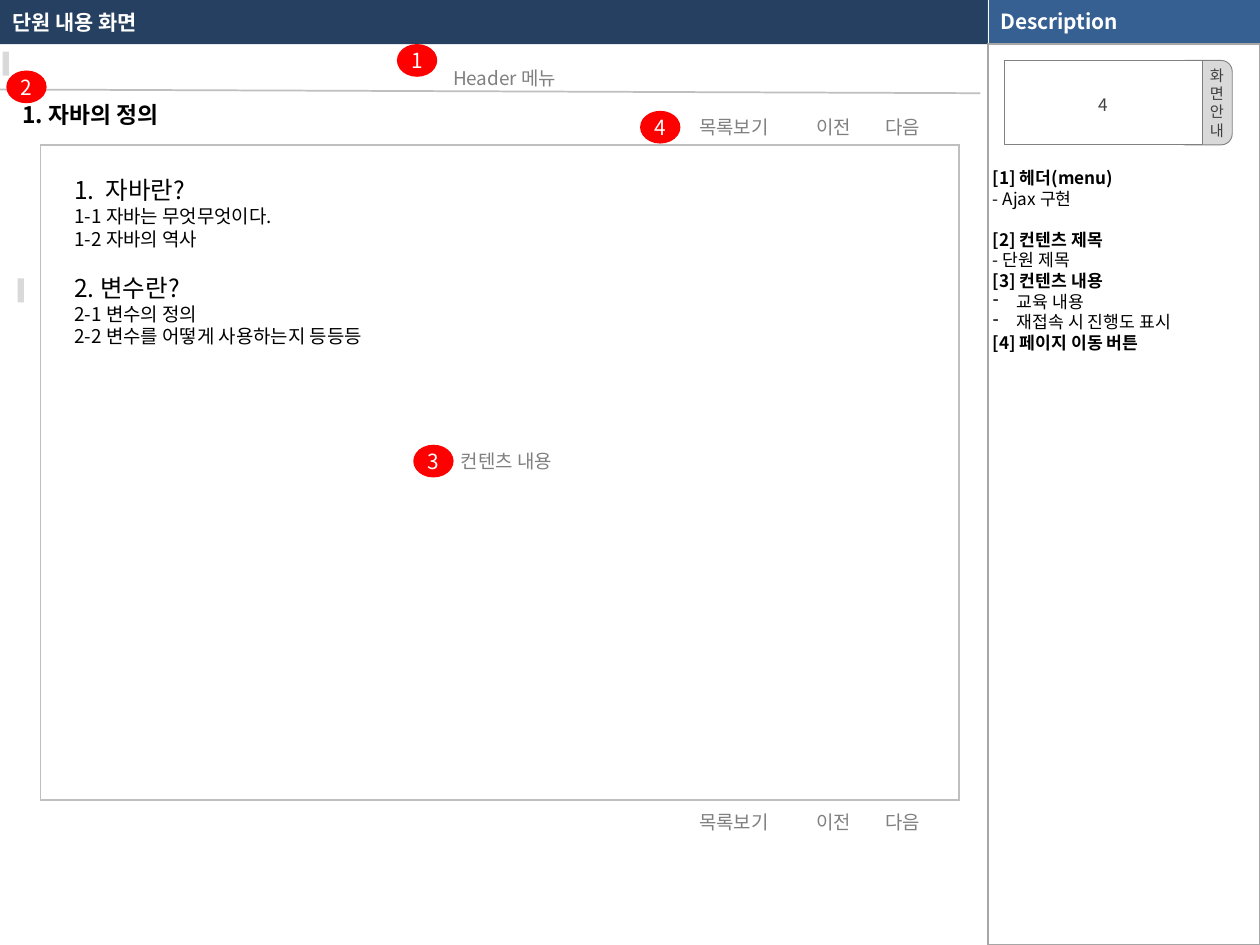
from lxml import etree
from pptx import Presentation
from pptx.dml.color import RGBColor
from pptx.enum.shapes import MSO_CONNECTOR, MSO_SHAPE
from pptx.enum.text import MSO_ANCHOR, PP_ALIGN
from pptx.oxml.ns import qn
from pptx.util import Inches, Pt

RECT, ROUND, OVAL = MSO_SHAPE.RECTANGLE, MSO_SHAPE.ROUNDED_RECTANGLE, MSO_SHAPE.OVAL
STRAIGHT = MSO_CONNECTOR.STRAIGHT
TOP, MID = MSO_ANCHOR.TOP, MSO_ANCHOR.MIDDLE
LEFT, CENTER, RIGHT = PP_ALIGN.LEFT, PP_ALIGN.CENTER, PP_ALIGN.RIGHT

THEME = {
    "font": "Noto Sans CJK KR",
    "navy": "254061", "blue": "376092", "red": "FF0000",
    "white": "FFFFFF", "black": "000000", "dark": "404040",
    "gray": "808080", "rule": "7F7F7F", "frame": "A6A6A6",
    "pale": "BFBFBF", "light": "D9D9D9",
    "bar": 11.9, "title": 13, "head": 14, "body": 10.8, "note": 9.8, "tab": 8.7,
}


def color(key):
    return RGBColor.from_string(THEME[key])


def write(shape, lines, size, tint="black", bold=False, align=LEFT, anchor=TOP,
          inset=(0, 0, 0, 0), wrap=True, space=None):
    """Fill a shape with lines: a text, or a text and a dict of changes."""
    frame = shape.text_frame
    sides = ("margin_left", "margin_top", "margin_right", "margin_bottom")
    form = dict(zip(sides, map(Inches, inset)), word_wrap=wrap, vertical_anchor=anchor)
    for name, value in form.items():
        setattr(frame, name, value)
    for i, line in enumerate(lines):
        text, extra = (line, {}) if isinstance(line, str) else line
        para = frame.paragraphs[0] if i == 0 else frame.add_paragraph()
        if "mark" in extra:
            tag, key, value, hang = extra["mark"]
            props = para._p.get_or_add_pPr()
            props.set("marL", str(Inches(hang)))
            props.set("indent", str(-Inches(hang)))
            etree.SubElement(props, qn(tag)).set(key, value)
        form = {"alignment": align, "line_spacing": space,
                "space_before": Pt(extra.get("before", 0))}
        for name, value in form.items():
            setattr(para, name, value)
        run = para.add_run()
        run.text = text
        form = {"name": THEME["font"], "size": Pt(THEME[extra.get("size", size)]),
                "bold": extra.get("bold", bold)}
        for name, value in form.items():
            setattr(run.font, name, value)
        run.font.color.rgb = color(tint)
        east = etree.SubElement(run._r.get_or_add_rPr(), qn("a:ea"))
        east.set("typeface", THEME["font"])


deck = Presentation()
deck.slide_width, deck.slide_height = Inches(10), Inches(7.5)
slide = deck.slides.add_slide(deck.slide_layouts[6])
shapes = slide.shapes


def draw(kind, box, fill=None, line=None, width=1):
    shape = shapes.add_shape(kind, *map(Inches, box))
    shape.shadow.inherit = False
    if fill:
        shape.fill.solid()
        shape.fill.fore_color.rgb = color(fill)
    else:
        shape.fill.background()
    if line:
        shape.line.color.rgb = color(line)
        shape.line.width = Pt(width)
    else:
        shape.line.fill.background()
    return shape


# Title bars
SPLIT, SIDE, BAR = 7.84, 2.16, 0.35
draw(RECT, (0, 0, SPLIT, BAR), "navy")
draw(RECT, (SPLIT, 0, SIDE, BAR), "gray")
heads = [
    (draw(RECT, (SPLIT, 0, SIDE, 0.34), "blue"), "Description"),
    (shapes.add_textbox(0, 0, Inches(7.62), Inches(BAR)), "단원 내용 화면"),
]
for shape, text in heads:
    write(shape, [text], "bar", "white", True, anchor=MID, inset=(0.1, 0.05, 0.1, 0.05))

# Rules: bar split, side edge, header underline
for x1, y1, x2, y2, tint, width in (
    (SPLIT, 0, SPLIT, BAR, "white", 0.25),
    (SPLIT, 0.34, SPLIT, 7.5, "rule", 0.25),
    (-0.04, 0.71, 7.78, 0.74, "pale", 1),
):
    rule = shapes.add_connector(STRAIGHT, *map(Inches, (x1, y1, x2, y2)))
    rule.line.color.rgb = color(tint)
    rule.line.width = Pt(width)
    etree.SubElement(rule._element.spPr, qn("a:effectLst"))

# Left ticks
for x, y in ((0.02, 0.41), (0.14, 2.21)):
    draw(RECT, (x, y, 0.05, 0.19), "light")

# Header menu and unit title
pad = (0.1, 0.05, 0.1, 0.05)
title = shapes.add_textbox(*map(Inches, (0.08, 0.75, 2.76, 0.32)))
write(title, ["1. 자바의 정의"], "title", bold=True, inset=pad)
menu = shapes.add_textbox(*map(Inches, (0.04, 0.39, 7.93, 0.34)))
write(menu, ["Header 메뉴"], "body", "gray", align=CENTER, inset=pad, space=1.5)

# Description panel
bold = {"bold": True}
dash = {"mark": ("a:buChar", "char", "-", 0.19)}
panel = draw(RECT, (SPLIT, BAR, SIDE, 7.15), line="frame")
write(panel, [
    ("[1] 헤더(menu)", bold),
    "- Ajax 구현",
    ("[2] 컨텐츠 제목", {"bold": True, "before": 11.7}),
    "- 단원 제목",
    ("[3] 컨텐츠 내용", bold),
    ("교육 내용", dash),
    ("재접속 시 진행도 표시", dash),
    ("[4] 페이지 이동 버튼", bold),
], "note", inset=(0.04, 0.98, 0.04, 0))

# Screen number card
tab = draw(ROUND, (9.32, 0.48, 0.46, 0.67), "light", "gray", 0.5)
tab.adjustments[0] = 0.19
write(tab, list("화면안내"), "tab", "dark", align=RIGHT, anchor=MID,
      inset=(0, 0, 0.04, 0), wrap=False)
card = draw(RECT, (7.97, 0.48, 1.57, 0.67), "white", "gray", 0.5)
write(card, ["4"], "note", "dark", align=CENTER, anchor=MID,
      inset=(0.04,) * 4, wrap=False, space=1.2)

# Content frame
grid = shapes.add_table(1, 1, *map(Inches, (0.32, 1.15, 7.29, 5.2))).table
grid.first_row = grid.horz_banding = False
cell = grid.cell(0, 0)
props = cell._tc.get_or_add_tcPr()
for side in ("a:lnL", "a:lnR", "a:lnT", "a:lnB"):
    edge = etree.SubElement(props, qn(side), w=str(Pt(1)))
    paint = etree.SubElement(edge, qn("a:solidFill"))
    etree.SubElement(paint, qn("a:srgbClr"), val=THEME["pale"])
cell.fill.background()

# Lesson text
lesson = draw(RECT, (0.59, 1.39, 3.7, 1.38), "white")
write(lesson, [
    ("자바란?", {"size": "head", "mark": ("a:buAutoNum", "type", "arabicPeriod", 0.25)}),
    "1-1 자바는 무엇무엇이다.",
    "1-2 자바의 역사",
    ("2. 변수란?", {"size": "head", "before": 13}),
    "2-1 변수의 정의",
    "2-2 변수를 어떻게 사용하는지 등등등",
], "body")
label = draw(RECT, (3.31, 3.57, 1.42, 0.18), "white")
write(label, ["컨텐츠 내용"], "body", "gray", align=CENTER)

# Page buttons below and above the frame
for y, fill in ((6.43, "white"), (0.92, None)):
    for x, text in ((5.39, "목록보기"), (6.18, "이전"), (6.73, "다음")):
        button = draw(RECT, (x, y, 0.87, 0.18), fill)
        write(button, [text], "body", "gray", align=CENTER)

# Numbered badges
spots = ((3.15, 0.35), (0.05, 0.56), (3.28, 3.53), (5.08, 0.88))
for n, (x, y) in enumerate(spots, 1):
    badge = draw(OVAL, (x, y, 0.32, 0.26), "red")
    write(badge, [str(n)], "bar", "white", align=CENTER, anchor=MID, wrap=False)

deck.save("out.pptx")
